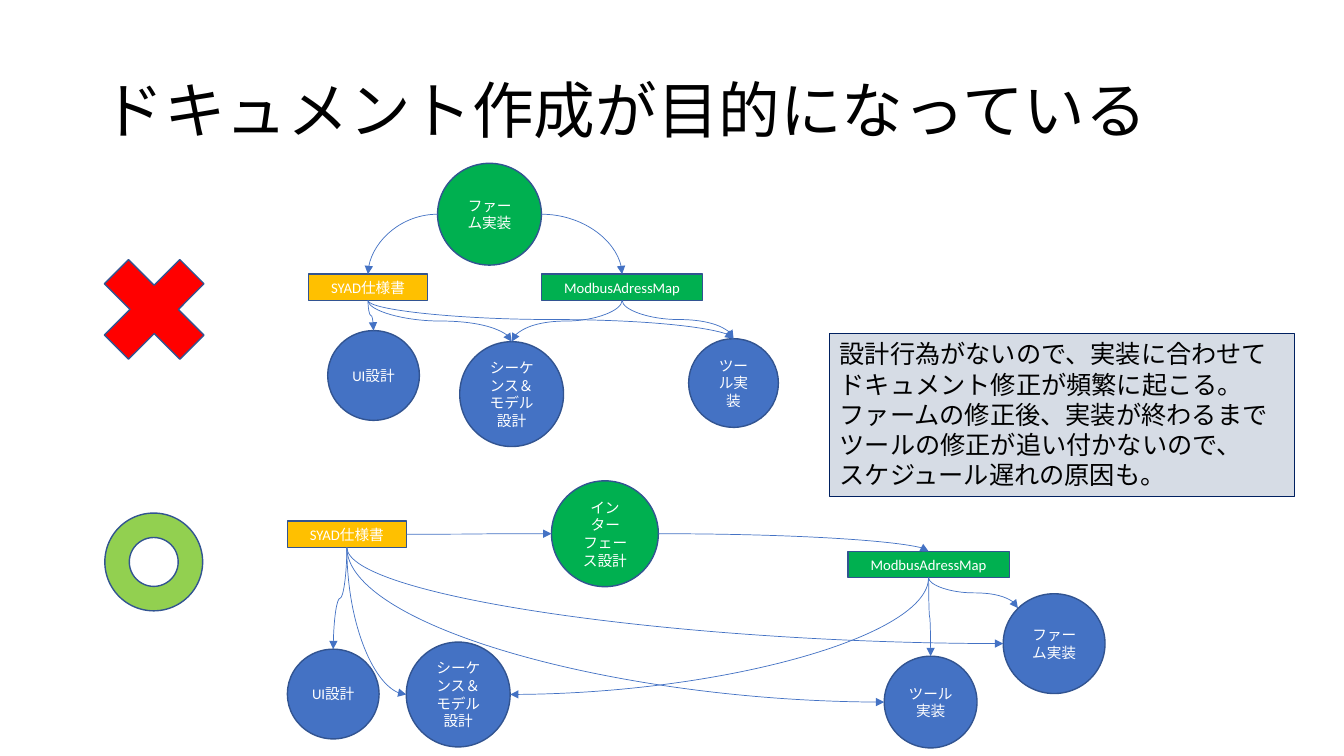
from lxml import etree
from pptx import Presentation, util as u
from pptx.dml.color import RGBColor
from pptx.enum import lang, shapes, text
from pptx.oxml import ns

BLACK = RGBColor(0x00, 0x00, 0x00)
WHITE = RGBColor(0xFF, 0xFF, 0xFF)
BLUE = RGBColor(0x44, 0x72, 0xC4)
EDGE = RGBColor(0x32, 0x54, 0x91)
NAVY = RGBColor(0x00, 0x20, 0x60)
PALE = RGBColor(0xD6, 0xDC, 0xE5)
AMBER = RGBColor(0xFF, 0xC0, 0x00)
GREEN = RGBColor(0x00, 0xB0, 0x50)
LIME = RGBColor(0x92, 0xD0, 0x50)
RED = RGBColor(0xFF, 0x00, 0x00)

KIND = shapes.MSO_SHAPE
# Sides as offsets from the centre, in half widths and half heights
SIDES = {"top": (0, -1), "left": (-1, 0), "bottom": (0, 1), "right": (1, 0),
         "top left": (-0.71, -0.71)}
BOX_SITES = {"top": 0, "left": 1, "bottom": 2, "right": 3}
ROUND_SITES = {"top": 0, "top left": 1, "left": 2, "bottom": 4, "right": 6}


class FlowSlide:
    font_name = "Calibri"
    label_size = 10.5

    def __init__(self, deck):
        self.page = deck.slides.add_slide(deck.slide_layouts[6])

    def add_lines(self, shape, lines, size, color, align, anchor, spacing=None):
        frame = shape.text_frame
        frame.word_wrap = True
        frame.vertical_anchor = anchor
        for index, line in enumerate(lines):
            para = frame.add_paragraph() if index else frame.paragraphs[0]
            para.alignment = align
            if spacing:
                para.line_spacing = spacing
            span = para.add_run()
            span.text = line
            span.font.name = self.font_name
            span.font.size = u.Pt(size)
            span.font.color.rgb = color
            span.font.language_id = lang.MSO_LANGUAGE_ID.JAPANESE

    def title(self, line, *area):
        box = self.page.shapes.add_textbox(*map(u.Inches, area))
        self.add_lines(box, [line], 44, BLACK, text.PP_ALIGN.LEFT,
                       text.MSO_ANCHOR.MIDDLE, 0.9)

    def shape(self, kind, fill, *area, edge=EDGE, weight=1):
        shape = self.page.shapes.add_shape(kind, *map(u.Inches, area))
        shape.shadow.inherit = False
        shape.fill.solid()
        shape.fill.fore_color.rgb = fill
        shape.line.color.rgb = edge
        shape.line.width = u.Pt(weight)
        return shape

    def node(self, kind, label, fill, *area):
        node = self.shape(kind, fill, *area)
        self.add_lines(node, [label], self.label_size, WHITE,
                       text.PP_ALIGN.CENTER, text.MSO_ANCHOR.MIDDLE)
        return node

    def document(self, label, fill, left, top, width):
        return self.node(KIND.FLOWCHART_PROCESS, label, fill, left, top, width, 0.26)

    def task(self, label, fill, *area, kind=KIND.FLOWCHART_CONNECTOR):
        return self.node(kind, label, fill, *area)

    def note(self, lines, *area):
        box = self.shape(KIND.RECTANGLE, PALE, *area, edge=NAVY, weight=0.75)
        self.add_lines(box, lines, 18, BLACK, text.PP_ALIGN.LEFT, text.MSO_ANCHOR.TOP)

    def point(self, node, side):
        across, down = SIDES[side]
        return (int(node.left + node.width * (1 + across) / 2),
                int(node.top + node.height * (1 + down) / 2))

    def arrow(self, source, leave, target, enter):
        x1, y1 = self.point(source, leave)
        x2, y2 = self.point(target, enter)
        link = self.page.shapes.add_connector(
            shapes.MSO_CONNECTOR.CURVE, x1, y1, x2, y2)
        link.line.color.rgb = BLUE
        link.line.width = u.Pt(0.5)
        element = link._element
        props = element.spPr

        # A curve that leaves downwards is a sideways curve turned a quarter
        if leave == "bottom":
            rightward = x2 > x1
            width, height = abs(y2 - y1), abs(x2 - x1)
            link.left = (x1 + x2 - width) // 2
            link.top = (y1 + y2 - height) // 2
            link.width, link.height = width, height
            frame = props.find(ns.qn("a:xfrm"))
            frame.attrib.pop("flipH", None)
            frame.set("rot", str((270 if rightward else 90) * 60000))
            if rightward:
                frame.set("flipH", "1")

        # One bend when the ends are at right angles, otherwise two
        upright = [side not in ("left", "right") for side in (leave, enter)]
        bends = 3 if upright[0] == upright[1] else 2
        props.find(ns.qn("a:prstGeom")).set("prst", f"curvedConnector{bends}")

        # Arrowhead, no shadow, and glue to both ends
        line = props.find(ns.qn("a:ln"))
        etree.SubElement(line, ns.qn("a:tailEnd"), type="triangle")
        etree.SubElement(props, ns.qn("a:effectLst"))
        glue = element.find(".//" + ns.qn("p:cNvCxnSpPr"))
        for tag, node, side in (("a:stCxn", source, leave), ("a:endCxn", target, enter)):
            flat = node.auto_shape_type == KIND.FLOWCHART_PROCESS
            site = (BOX_SITES if flat else ROUND_SITES)[side]
            etree.SubElement(glue, ns.qn(tag), id=str(node.shape_id), idx=str(site))


def main():
    deck = Presentation()
    deck.slide_width, deck.slide_height = u.Inches(13.33), u.Inches(7.5)
    flow = FlowSlide(deck)
    flow.title("ドキュメント作成が目的になっている", 0.92, 0.4, 11.5, 1.45)

    # Verdict marks
    flow.shape(KIND.MATH_MULTIPLY, RED, 0.81, 2.35, 1.44, 1.44)
    flow.shape(KIND.DONUT, LIME, 1.04, 5.09, 0.97, 0.97)

    # Bad flow: firmware first, documents afterwards
    firmware = flow.task("ファーム実装", GREEN, 4.34, 1.62, 1.03, 1.01)
    manual = flow.document("SYAD仕様書", AMBER, 3.06, 2.72, 1.18)
    address_map = flow.document("ModbusAdressMap", GREEN, 5.37, 2.72, 1.6)
    ui = flow.task("UI設計", BLUE, 3.25, 3.28, 0.91, 0.89)
    model = flow.task("シーケンス＆モデル設計", BLUE, 4.56, 3.39, 1.03, 1.04)
    tool = flow.task("ツール実装", BLUE, 6.83, 3.36, 0.89, 0.88, kind=KIND.OVAL)
    flow.arrow(firmware, "left", manual, "top")
    flow.arrow(firmware, "right", address_map, "top")
    for source, targets in ((manual, (ui, model, tool)), (address_map, (model, tool))):
        for target in targets:
            flow.arrow(source, "bottom", target, "top")

    # Good flow: interface design leads to the address map
    manual = flow.document("SYAD仕様書", AMBER, 2.85, 5.17, 1.18)
    interface = flow.task("インターフェース設計", GREEN, 5.47, 4.77, 1.06, 1.05)
    address_map = flow.document("ModbusAdressMap", GREEN, 8.41, 5.47, 1.6)
    firmware = flow.task("ファーム実装", BLUE, 9.95, 5.89, 1.01, 0.99)
    ui = flow.task("UI設計", BLUE, 2.85, 6.44, 0.91, 0.89)
    model = flow.task("シーケンス＆モデル設計", BLUE, 4.03, 6.37, 1.03, 1.04)
    tool = flow.task("ツール実装", BLUE, 8.77, 6.51, 0.92, 0.91, kind=KIND.OVAL)
    flow.arrow(manual, "right", interface, "left")
    flow.arrow(interface, "right", address_map, "top")
    flow.arrow(manual, "bottom", ui, "top")
    for target in (model, tool, firmware):
        flow.arrow(manual, "bottom", target, "left")
    flow.arrow(address_map, "bottom", model, "right")
    flow.arrow(address_map, "bottom", tool, "top")
    flow.arrow(address_map, "bottom", firmware, "top left")

    # Why the bad flow hurts
    flow.note(["設計行為がないので、実装に合わせてドキュメント修正が頻繁に起こる。",
               "ファームの修正後、実装が終わるまで",
               "ツールの修正が追い付かないので、",
               "スケジュール遅れの原因も。"], 8.23, 3.31, 4.61, 1.62)

    deck.save("out.pptx")


if __name__ == "__main__":
    main()
